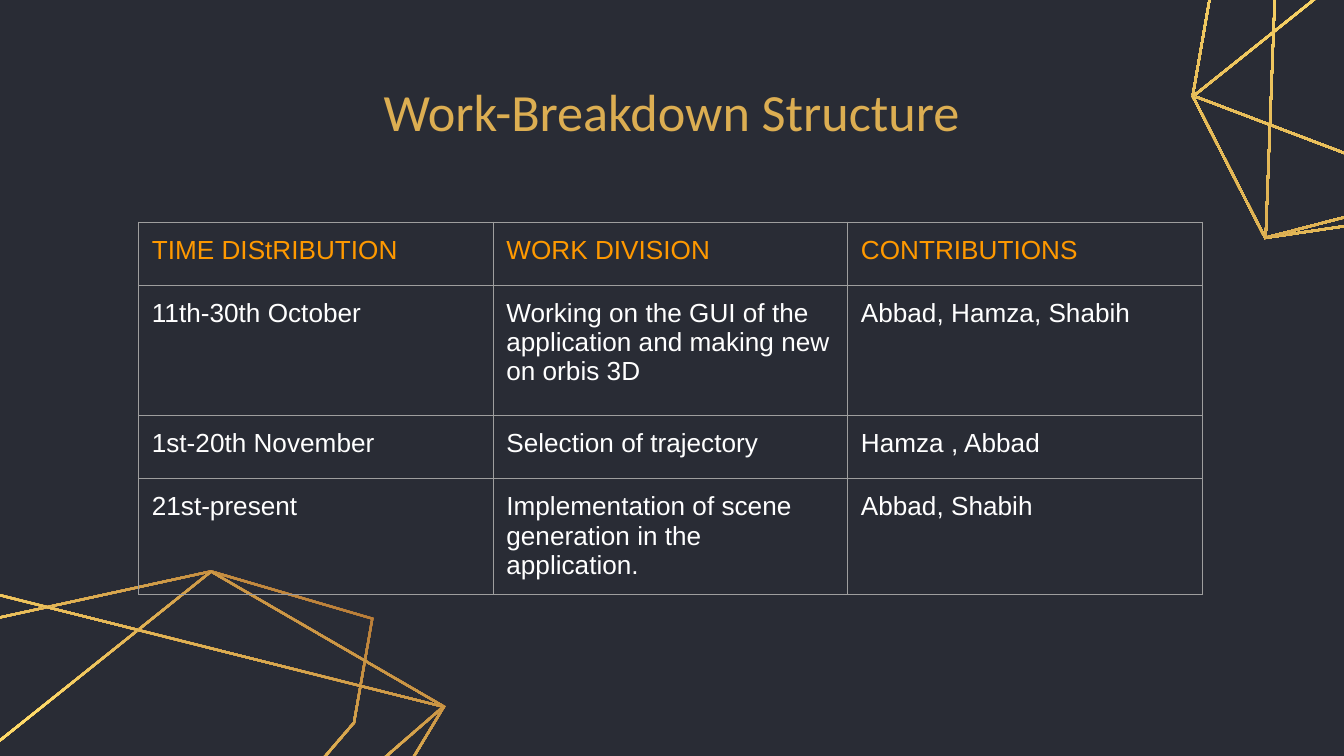
from copy import deepcopy
from math import hypot

from lxml import etree
from pptx import Presentation
from pptx.dml.color import RGBColor
from pptx.enum.text import MSO_ANCHOR, PP_ALIGN
from pptx.oxml.ns import qn
from pptx.util import Cm, Pt

CENTER = PP_ALIGN.CENTER
LEFT = PP_ALIGN.LEFT
MIDDLE = MSO_ANCHOR.MIDDLE
TOP = MSO_ANCHOR.TOP

THEME = {
    "background": "292C35",
    "title": "DCAE52",
    "heading": "FF9900",
    "body": "FFFFFF",
    "border": "9E9E9E",
    "gold": ("AF7132", "FFDD6B", "DCAE52"),
    "title_size": Pt(28),
    "body_size": Pt(14),
    "border_width": Pt(0.75),
    "title_font": "Calibri",
    "body_font": "Arial",
}


def inset(outline, width):
    normals = []
    for (x1, y1), (x2, y2) in zip(outline, outline[1:] + outline[:1]):
        length = hypot(x2 - x1, y2 - y1)
        normals.append(((y1 - y2) / length, (x2 - x1) / length))
    inner = []
    for i, (x, y) in enumerate(outline):
        (ax, ay), (bx, by) = normals[i - 1], normals[i]
        reach = width / (1 + ax * bx + ay * by)
        inner.append((x + (ax + bx) * reach, y + (ay + by) * reach))
    return inner


def write(frame, text, size, font, color, align, anchor):
    frame.word_wrap = True
    frame.vertical_anchor = anchor
    frame.margin_left = frame.margin_right = Cm(0.25)
    frame.margin_top = frame.margin_bottom = Cm(0.25)
    paragraph = frame.paragraphs[0]
    paragraph.alignment = align
    run = paragraph.add_run()
    run.text = text
    run.font.size = size
    run.font.name = font
    run.font.color.rgb = RGBColor.from_string(color)


prs = Presentation()
prs.slide_width = Cm(25.4)
prs.slide_height = Cm(14.29)
slide = prs.slides.add_slide(prs.slide_layouts[5])
slide.background.fill.solid()
slide.background.fill.fore_color.rgb = RGBColor.from_string(THEME["background"])

title = slide.shapes.title
title.left, title.top, title.width, title.height = Cm(5.54), Cm(1.5), Cm(14.3), Cm(1.2)
write(title.text_frame, "Work-Breakdown Structure", THEME["title_size"],
      THEME["title_font"], THEME["title"], CENTER, MIDDLE)

crystal_facets = [
    [(-2.72, 16.15), (-2.01, 12.09), (3.99, 10.78), (7.06, 11.68), (6.71, 13.67), (2.79, 18.24)],
    [(-1.34, 18.85), (-2.72, 16.15), (3.99, 10.78), (8.42, 13.35), (2.79, 18.24)],
    [(-1.34, 18.85), (-1.04, 10.97), (8.42, 13.35), (6.3, 16.87)],
]
crystal_offsets = [(0, 0), (25.24, -14.33)]
for dx, dy in crystal_offsets:
    for facet in crystal_facets:
        rim, hole = [
            [(Cm(x + dx), Cm(y + dy)) for x, y in outline]
            for outline in (facet, inset(facet, 0.04))
        ]
        builder = slide.shapes.build_freeform(*rim[0])
        builder.add_line_segments(rim[1:], close=True)
        builder.move_to(*hole[0])
        builder.add_line_segments(hole[1:], close=True)
        crystal = builder.convert_to_shape()
        crystal.shadow.inherit = False
        crystal.line.fill.background()
        crystal.fill.gradient()
        crystal.fill.gradient_angle = 238.6
        stop_list = next(crystal._element.iter(qn("a:gsLst")))
        stop_list.insert(1, deepcopy(stop_list[0]))
        for i, (stop, color) in enumerate(zip(crystal.fill.gradient_stops, THEME["gold"])):
            stop.position = i / 2
            stop.color.rgb = RGBColor.from_string(color)

schedule = [
    ("TIME DIStRIBUTION", "WORK DIVISION", "CONTRIBUTIONS"),
    ("11th-30th October",
     "Working on the GUI of the application and making new on orbis 3D",
     "Abbad, Hamza, Shabih"),
    ("1st-20th November", "Selection of trajectory", "Hamza , Abbad"),
    ("21st-present", "Implementation of scene generation in the application.", "Abbad, Shabih"),
]
row_heights = [1.19, 2.47, 1.19, 2.18]
column_width = 6.7
plan = slide.shapes.add_table(
    len(schedule), 3, Cm(2.62), Cm(4.2), Cm(3 * column_width), Cm(sum(row_heights))
).table
plan.first_row = False
plan.horz_banding = False
for column in plan.columns:
    column.width = Cm(column_width)
for r, entries in enumerate(schedule):
    plan.rows[r].height = Cm(row_heights[r])
    for c, entry in enumerate(entries):
        cell = plan.cell(r, c)
        write(cell.text_frame, entry, THEME["body_size"], THEME["body_font"],
              THEME["body"] if r else THEME["heading"], LEFT, TOP)
        cell.margin_left = cell.margin_right = Cm(0.25)
        cell.margin_top = cell.margin_bottom = Cm(0.25)
        cell.vertical_anchor = TOP
        properties = cell._tc.get_or_add_tcPr()
        for side in ("a:lnL", "a:lnR", "a:lnT", "a:lnB"):
            border = etree.SubElement(properties, qn(side), w=str(THEME["border_width"]))
            paint = etree.SubElement(border, qn("a:solidFill"))
            etree.SubElement(paint, qn("a:srgbClr"), val=THEME["border"])
        cell.fill.background()

prs.save("out.pptx")
